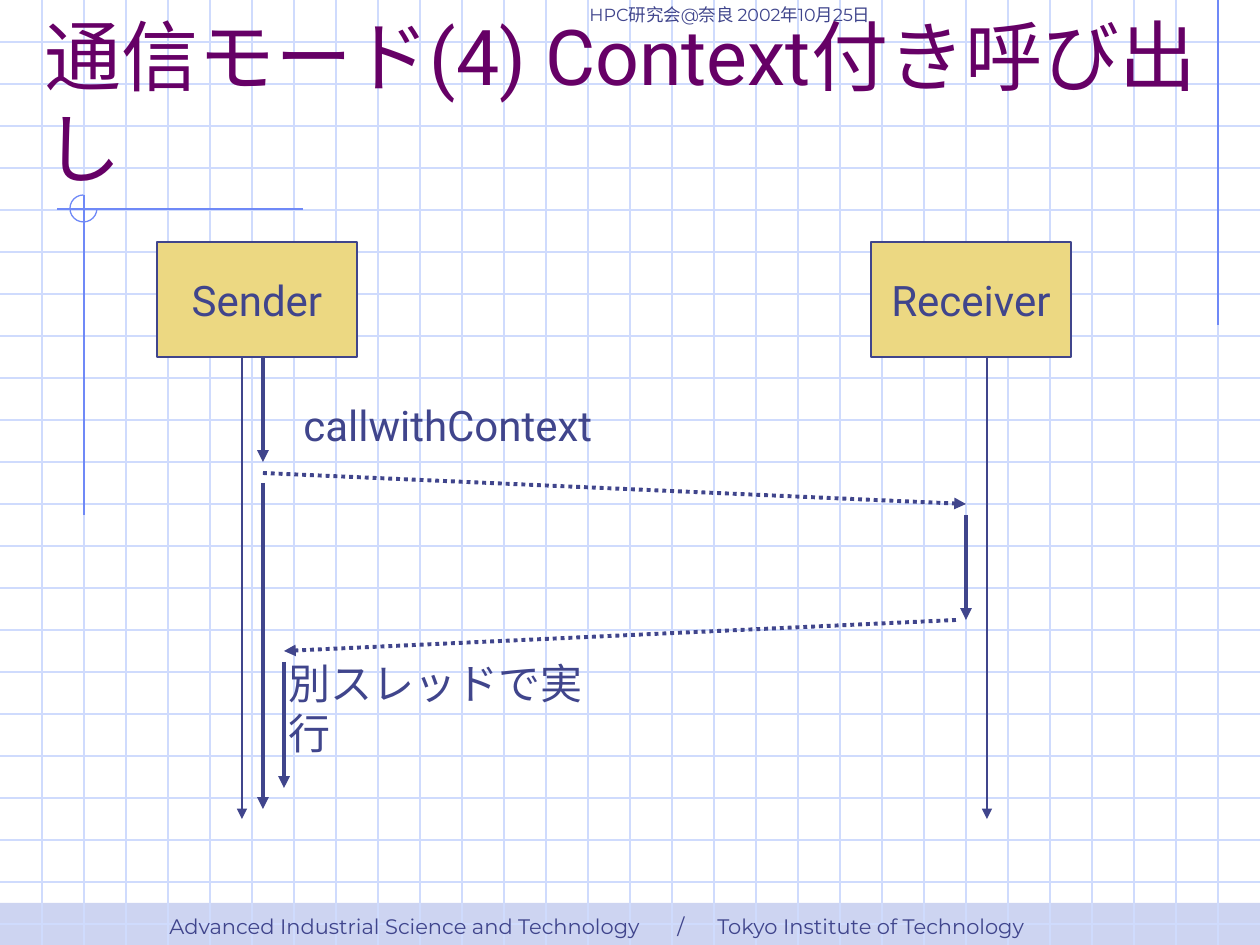
from dataclasses import dataclass

from lxml.etree import SubElement
from pptx import Presentation
from pptx.dml.color import RGBColor
from pptx.enum.dml import MSO_LINE
from pptx.enum.shapes import MSO_CONNECTOR, MSO_SHAPE
from pptx.enum.text import MSO_ANCHOR as Anchor, PP_ALIGN as Align
from pptx.oxml.ns import qn
from pptx.shapes.autoshape import Shape
from pptx.shapes.shapetree import SlideShapes
from pptx.text.text import TextFrame
from pptx.util import Emu, Pt

PX_PER_INCH = 126
WIDTH, HEIGHT, GRID = 1260, 945, 42
INK, TITLE, GRID_BLUE, ACCENT = "40458C", "660066", "CFDBFD", "6F89F7"
BAND, BOX = "CDD4F1", "ECD882"
BODY_FONT, MASTER_FONT = "Roboto", "Montserrat"


@dataclass(frozen=True)
class Area:
    left: int
    top: int
    width: int
    height: int


@dataclass(frozen=True)
class Label:
    text: str
    area: Area
    size: int = 24
    font: str = BODY_FONT
    color: str = INK
    anchor: Anchor = Anchor.TOP
    wrap: bool = False
    tabs: tuple[int, ...] = ()


@dataclass(frozen=True)
class Line:
    x1: int
    y1: int
    x2: int
    y2: int
    color: str = INK
    weight: float = 0.75
    arrow: bool = False
    dotted: bool = False


def px(length: int) -> Emu:
    return Emu(round(length * 914400 / PX_PER_INCH))


def rgb(color: str) -> RGBColor:
    return RGBColor.from_string(color)


def place(area: Area) -> tuple[Emu, Emu, Emu, Emu]:
    return px(area.left), px(area.top), px(area.width), px(area.height)


def write(frame: TextFrame, label: Label, align: Align = Align.LEFT) -> None:
    frame.word_wrap = label.wrap
    frame.vertical_anchor = label.anchor
    paragraph = frame.paragraphs[0]
    paragraph.text = label.text
    paragraph.alignment = align
    if label.tabs:
        stops = SubElement(paragraph._p.get_or_add_pPr(), qn("a:tabLst"))
        for stop in label.tabs:
            SubElement(stops, qn("a:tab"), pos=str(px(stop)), algn="l")
    font = paragraph.font
    font.name, font.size = label.font, Pt(label.size)
    font.color.rgb = rgb(label.color)


def add_label(shapes: SlideShapes, label: Label) -> None:
    write(shapes.add_textbox(*place(label.area)).text_frame, label)


def add_rect(shapes: SlideShapes, area: Area, fill: str) -> Shape:
    """Add a filled rectangle without an outline."""
    rect = shapes.add_shape(MSO_SHAPE.RECTANGLE, *place(area))
    rect.shadow.inherit = False
    rect.fill.solid()
    rect.fill.fore_color.rgb = rgb(fill)
    rect.line.fill.background()
    return rect


def add_process(shapes: SlideShapes, process: Label) -> None:
    box = add_rect(shapes, process.area, BOX)
    box.line.color.rgb = rgb(INK)
    box.line.width = Pt(0.75)
    write(box.text_frame, process, Align.CENTER)


def add_line(shapes: SlideShapes, line: Line) -> None:
    connector = shapes.add_connector(
        MSO_CONNECTOR.STRAIGHT, px(line.x1), px(line.y1), px(line.x2), px(line.y2)
    )
    connector.line.color.rgb = rgb(line.color)
    connector.line.width = Pt(line.weight)
    if line.dotted:
        connector.line.dash_style = MSO_LINE.ROUND_DOT
    if line.arrow:
        SubElement(connector.line._get_or_add_ln(), qn("a:tailEnd"), type="triangle")
    SubElement(connector._element.spPr, qn("a:effectLst"))


def add_background(shapes: SlideShapes) -> None:
    add_rect(shapes, Area(0, 903, WIDTH, 42), BAND)
    rows = [Line(0, y, WIDTH, y, GRID_BLUE) for y in range(GRID, HEIGHT, GRID)]
    columns = [Line(x, 0, x, HEIGHT, GRID_BLUE) for x in range(GRID, WIDTH, GRID)]
    accents = [
        Line(1218, 0, 1218, 325, ACCENT),
        Line(303, 209, 57, 209, ACCENT),
        Line(84, 195, 84, 515, ACCENT),
    ]
    for line in rows + columns + accents:
        add_line(shapes, line)
    arc = shapes.add_shape(MSO_SHAPE.ARC, *place(Area(70, 195, 27, 27)))
    arc.shadow.inherit = False
    # Clockwise from the right side (0 degrees) to the top (270 degrees)
    arc.adjustments[0], arc.adjustments[1] = 0, 162
    arc.fill.background()
    arc.line.color.rgb = rgb(ACCENT)
    arc.line.width = Pt(0.75)


def lifeline(x: int) -> Line:
    return Line(x, 357, x, 819, arrow=True)


def activity(x: int, top: int, bottom: int) -> Line:
    return Line(x, top, x, bottom, weight=2.25, arrow=True)


def message(x1: int, y1: int, x2: int, y2: int) -> Line:
    return Line(x1, y1, x2, y2, weight=2.25, arrow=True, dotted=True)


PROCESSES = [
    Label("Sender", Area(157, 242, 200, 115), anchor=Anchor.MIDDLE),
    Label("Receiver", Area(871, 242, 200, 115), anchor=Anchor.MIDDLE),
]
SEQUENCE = [
    message(263, 473, 966, 504),
    lifeline(242),
    lifeline(987),
    activity(263, 357, 462),
    activity(263, 483, 809),
    message(956, 620, 284, 651),
    activity(966, 515, 620),
    activity(284, 662, 788),
]
LABELS = [
    Label("Advanced Industrial Science and Technology\t/\tTokyo Institute of Technology",
          Area(157, 914, 1008, 31), 12, MASTER_FONT, anchor=Anchor.BOTTOM,
          wrap=True, tabs=(508, 548)),
    Label("通信モード(4) Context付き呼び出し", Area(32, 42, 1196, 157), 44,
          color=TITLE, anchor=Anchor.BOTTOM, wrap=True),
    Label("callwithContext", Area(291, 393, 329, 63)),
    Label("別スレッドで実行", Area(276, 651, 360, 63)),
    Label("HPC研究会@奈良 2002年10月25日", Area(577, 0, 514, 31), 10, MASTER_FONT,
          anchor=Anchor.BOTTOM, wrap=True),
]


def main() -> None:
    deck = Presentation()
    deck.slide_width, deck.slide_height = px(WIDTH), px(HEIGHT)
    shapes = deck.slides.add_slide(deck.slide_layouts[6]).shapes
    add_background(shapes)
    for process in PROCESSES:
        add_process(shapes, process)
    for line in SEQUENCE:
        add_line(shapes, line)
    for label in LABELS:
        add_label(shapes, label)
    deck.save("out.pptx")


if __name__ == "__main__":
    main()
